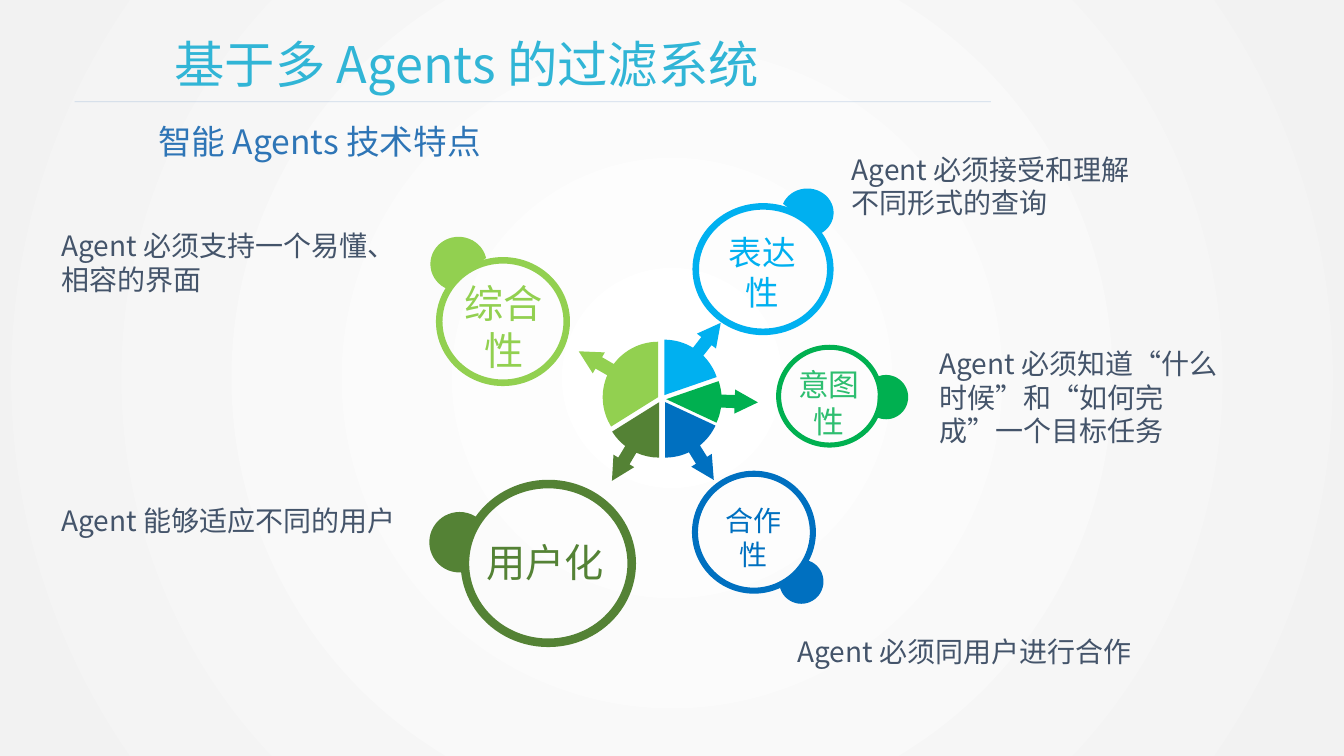
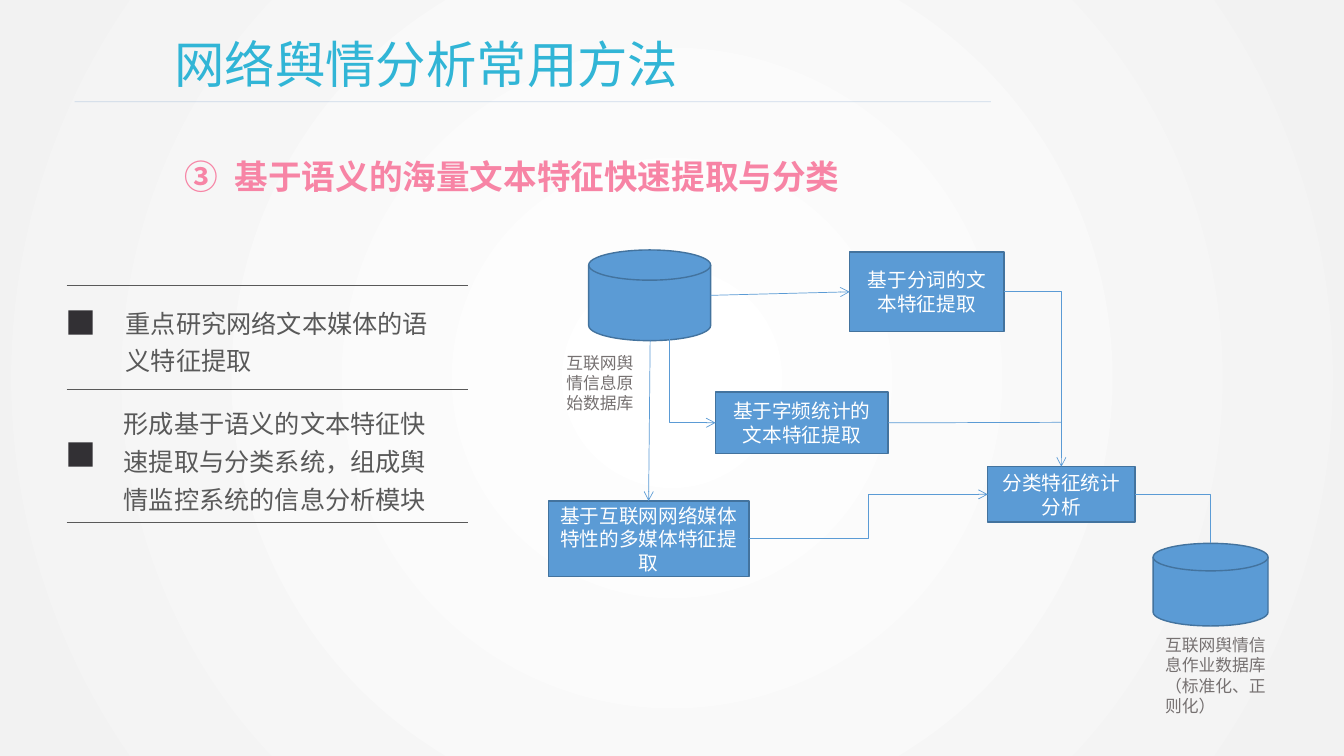
"""Build two slides: features of intelligent agents and a text feature extraction flow."""
from math import acos, atan, atan2, cos, degrees, hypot, radians, sin, tan

from lxml import etree
from pptx import Presentation
from pptx.dml.color import RGBColor
from pptx.enum.shapes import MSO_CONNECTOR, MSO_SHAPE
from pptx.enum.text import MSO_ANCHOR, PP_ALIGN
from pptx.oxml.ns import qn
from pptx.util import Inches, Pt

FONT = "Noto Sans CJK SC"
STRAIGHT, ELBOW = MSO_CONNECTOR.STRAIGHT, MSO_CONNECTOR.ELBOW
RECTANGLE, DONUT, CHORD = MSO_SHAPE.RECTANGLE, MSO_SHAPE.DONUT, MSO_SHAPE.CHORD
DISK = MSO_SHAPE.FLOWCHART_MAGNETIC_DISK
LEFT, CENTER = PP_ALIGN.LEFT, PP_ALIGN.CENTER
TOP, MIDDLE = MSO_ANCHOR.TOP, MSO_ANCHOR.MIDDLE

WHITE = RGBColor(0xFF, 0xFF, 0xFF)
PALE_GRAY = RGBColor(0xF2, 0xF2, 0xF2)
TITLE_CYAN = RGBColor(0x31, 0xB5, 0xD6)
RULE_BLUE = RGBColor(0x4A, 0x7E, 0xBB)
SUBTITLE_BLUE = RGBColor(0x2E, 0x75, 0xB6)
SLATE = RGBColor(0x44, 0x54, 0x6A)
LIME = RGBColor(0x92, 0xD0, 0x50)
SKY = RGBColor(0x00, 0xB0, 0xF0)
GREEN = RGBColor(0x00, 0xB0, 0x50)
SOFT_GREEN = RGBColor(0x2E, 0xBE, 0x70)
BLUE = RGBColor(0x00, 0x70, 0xC0)
OLIVE = RGBColor(0x54, 0x82, 0x35)
PINK = RGBColor(0xF7, 0x84, 0xA5)
FLOW_BLUE = RGBColor(0x5B, 0x9B, 0xD5)
FLOW_EDGE = RGBColor(0x43, 0x73, 0x9E)
CAPTION_GRAY = RGBColor(0x76, 0x71, 0x71)
TEXT_GRAY = RGBColor(0x59, 0x59, 0x59)
MARKER_BLACK = RGBColor(0x32, 0x30, 0x34)


def write_text(shape, lines, size, color, align=LEFT, anchor=TOP, bold=False, spacing=None):
    """Fill a shape with one styled run per paragraph."""
    frame = shape.text_frame
    frame.word_wrap = True
    frame.vertical_anchor = anchor
    for index, line in enumerate(lines):
        para = frame.add_paragraph() if index else frame.paragraphs[0]
        para.alignment = align
        para.line_spacing = spacing
        span = para.add_run()
        span.text = line
        span.font.size = Pt(size)
        span.font.bold = bold
        span.font.color.rgb = color
        span.font.name = FONT
        etree.SubElement(span.font._element, qn("a:ea"), typeface=FONT)


def add_line(page, kind, begin, end, color):
    """Add a thin connector without a shadow."""
    line = page.shapes.add_connector(kind, *map(Inches, begin + end))
    line.line.color.rgb = color
    line.line.width = Pt(0.5)
    etree.SubElement(line._element.spPr, qn("a:effectLst"))
    return line


deck = Presentation()
deck.slide_width, deck.slide_height = Inches(40 / 3), Inches(7.5)

background = deck.slide_master.background.fill
background.gradient()
for stop, color in zip(background.gradient_stops, (WHITE, PALE_GRAY)):
    stop.color.rgb = color
linear = deck.slide_master.element.find(".//" + qn("p:bgPr")).find(".//" + qn("a:lin"))
circle = etree.Element(qn("a:path"), path="circle")
etree.SubElement(circle, qn("a:fillToRect"), l="50000", t="50000", r="50000", b="50000")
linear.getparent().replace(linear, circle)

pages = []
for heading, width in (("基于多 Agents 的过滤系统", 11.4), ("网络舆情分析常用方法", 8.5)):
    page = deck.slides.add_slide(deck.slide_layouts[5])
    title = page.shapes.title
    title.left, title.top = Inches(1.63), Inches(0.28)
    title.width, title.height = Inches(width), Inches(0.71)
    write_text(title, [heading], 36, TITLE_CYAN)
    rule = add_line(page, STRAIGHT, (0.74, 1.01), (9.83, 1.01), RULE_BLUE)
    rule_color = rule._element.spPr.find(".//" + qn("a:srgbClr"))
    etree.SubElement(rule_color, qn("a:alpha"), val="25000")
    pages.append(page)
agents_page, flow_page = pages

RADIUS, HEAD_BASE, ARROW_TIP = 0.55, 0.68, 0.91
SHAFT_HALF, HEAD_HALF = 0.065, 0.12
shaft_angle = degrees(atan(SHAFT_HALF / RADIUS))
head_outline = [(HEAD_BASE, -SHAFT_HALF), (HEAD_BASE, -HEAD_HALF), (ARROW_TIP, 0),
                (HEAD_BASE, HEAD_HALF), (HEAD_BASE, SHAFT_HALF)]
wedges = [
    (6.59, 3.92, -90, -52, -19, SKY),
    (6.53, 3.94, 148, 210, 270, LIME),
    (6.61, 3.96, -19, 2, 25, GREEN),
    (6.6, 3.99, 25, 58, 90, BLUE),
    (6.54, 3.99, 90, 121, 148, OLIVE),
]
for x, y, start, middle, stop, color in wedges:
    arcs = []
    for first, last in ((start, middle - shaft_angle), (middle + shaft_angle, stop)):
        handle = 4 / 3 * tan(radians(last - first) / 4)
        reach, turn = RADIUS * hypot(1, handle), degrees(atan(handle))
        arcs.append([(RADIUS, first), (reach, first + turn), (reach, last - turn), (RADIUS, last)])
    head = [(hypot(along, across), middle + degrees(atan2(across, along)))
            for along, across in head_outline]
    points = [(Inches(x + length * cos(radians(angle))), Inches(y + length * sin(radians(angle))))
              for length, angle in [(0, 0)] + arcs[0] + head + arcs[1]]
    builder = agents_page.shapes.build_freeform(*points[0])
    builder.add_line_segments(points[1:])
    wedge = builder.convert_to_shape()
    segments = list(wedge._element.iter(qn("a:lnTo")))
    for index in (1, 10):
        curve = etree.Element(qn("a:cubicBezTo"))
        segments[index].addprevious(curve)
        for segment in segments[index:index + 3]:
            curve.append(segment[0])
            segment.getparent().remove(segment)
    wedge.shadow.inherit = False
    wedge.fill.solid()
    wedge.fill.fore_color.rgb = color
    wedge.line.fill.background()

features = [
    ("综合性", 28, LIME, LIME, (4.99, 3.19, 0.665, 0.64), 0.065,
     (4.55, 2.62, 0.28, 0.27), (4.41, 2.72, 1.18, 1.07), CENTER),
    ("表达性", 24, SKY, SKY, (7.57, 2.67, 0.7, 0.655), 0.065,
     (8.01, 2.11, 0.26, 0.24), (7.03, 2.25, 1.07, 0.93), CENTER),
    ("意图性", 22, GREEN, SOFT_GREEN, (8.23, 3.93, 0.53, 0.51), 0.05,
     (8.79, 3.94, 0.22, 0.22), (7.71, 3.58, 1.03, 0.86), CENTER),
    ("合作性", 20, BLUE, BLUE, (7.48, 5.28, 0.615, 0.61), 0.06,
     (7.95, 5.77, 0.22, 0.22), (7.03, 4.95, 0.89, 0.79), CENTER),
    ("用户化", 28, OLIVE, OLIVE, (5.44, 5.59, 0.87, 0.83), 0.085,
     (4.56, 5.38, 0.3, 0.3), (4.73, 5.29, 1.88, 0.6), LEFT),
]
for label, size, color, text_color, ring_at, thickness, knob_at, label_at, align in features:
    group = agents_page.shapes.add_group_shape()
    ring, knob = [
        group.shapes.add_shape(kind, *map(Inches, (x - across, y - down, 2 * across, 2 * down)))
        for kind, (x, y, across, down) in ((DONUT, ring_at), (CHORD, knob_at))]
    ring.adjustments[0] = thickness / (2 * min(ring_at[2:]))
    dx, dy = ring_at[0] - knob_at[0], ring_at[1] - knob_at[1]
    distance, ring_radius, knob_radius = hypot(dx, dy), sum(ring_at[2:]) / 2, sum(knob_at[2:]) / 2
    overlap = (distance ** 2 + knob_radius ** 2 - ring_radius ** 2) / (2 * distance * knob_radius)
    toward, spread = degrees(atan2(dy, dx)), degrees(acos(overlap))
    knob.adjustments[0] = (toward + spread) % 360 * 0.6
    knob.adjustments[1] = (toward - spread) % 360 * 0.6
    for part in (ring, knob):
        part.shadow.inherit = False
        part.fill.solid()
        part.fill.fore_color.rgb = color
        part.line.fill.background()
    box = group.shapes.add_textbox(*map(Inches, label_at))
    write_text(box, [label], size, text_color, align)

descriptions = [
    (["Agent 必须支持一个易懂、", "相容的界面"], (0.51, 2.22, 3.88, 0.79), 20, SLATE),
    (["Agent 必须接受和理解不同形式的查询"], (8.35, 1.46, 3.18, 0.79), 20, SLATE),
    (["Agent 必须知道“什么时候”和“如何完成”一个目标任务"], (9.22, 3.39, 3.18, 1.12), 20, SLATE),
    (["Agent 必须同用户进行合作"], (7.81, 6.25, 4.26, 0.44), 20, SLATE),
    (["Agent 能够适应不同的用户"], (0.51, 4.95, 3.9, 0.44), 20, SLATE),
    (["智能 Agents 技术特点"], (1.47, 1.15, 3.9, 0.5), 24, SUBTITLE_BLUE),
]
for lines, place, size, color in descriptions:
    box = agents_page.shapes.add_textbox(*map(Inches, place))
    write_text(box, lines, size, color)

box = flow_page.shapes.add_textbox(*map(Inches, (1.73, 1.5, 7.42, 0.5)))
properties = box.text_frame.paragraphs[0]._p.get_or_add_pPr()
properties.set("marL", str(Inches(0.5)))
properties.set("indent", str(Inches(-0.5)))
etree.SubElement(properties, qn("a:buAutoNum"), type="circleNumDbPlain", startAt="3")
write_text(box, ["基于语义的海量文本特征快速提取与分类"], 24, PINK, bold=True)

nodes = [
    (DISK, (5.84, 2.48, 1.21, 0.9), ""),
    (DISK, (11.44, 5.39, 1.14, 0.82), ""),
    (RECTANGLE, (8.43, 2.5, 1.53, 0.79), "基于分词的文本特征提取"),
    (RECTANGLE, (7.1, 3.89, 1.71, 0.61), "基于字频统计的文本特征提取"),
    (RECTANGLE, (9.8, 4.63, 1.46, 0.55), "分类特征统计分析"),
    (RECTANGLE, (5.44, 4.97, 1.99, 0.75), "基于互联网网络媒体特性的多媒体特征提取"),
]
node_shapes = []
for kind, place, label in nodes:
    node = flow_page.shapes.add_shape(kind, *map(Inches, place))
    node.shadow.inherit = False
    node.fill.solid()
    node.fill.fore_color.rgb = FLOW_BLUE
    node.line.color.rgb = FLOW_EDGE
    node.line.width = Pt(1)
    if label:
        write_text(node, [label], 14, WHITE, CENTER, MIDDLE)
    node_shapes.append(node)
words, frequency, statistics, multimedia = node_shapes[2:]

links = [
    ("line", (7.05, 2.93), (8.43, 2.9), None, (words, 1), "a:tailEnd"),
    ("bentConnector2", (9.96, 2.9), (10.53, 4.63), (words, 3), (statistics, 0), "a:tailEnd"),
    ("bentConnector2", (11.26, 4.9), (12.01, 5.39), (statistics, 3), None, None),
    ("line", (8.81, 4.2), (10.53, 4.19), (frequency, 3), None, None),
    ("bentConnector3", (7.43, 5.35), (9.8, 4.9), (multimedia, 3), (statistics, 1), "a:tailEnd"),
    ("line", (6.45, 3.38), (6.43, 4.97), None, (multimedia, 0), "a:tailEnd"),
    ("bentConnector2", (7.1, 4.2), (6.64, 3.31), (frequency, 1), None, "a:headEnd"),
]
for preset, begin, end, source, target, arrow in links:
    link = add_line(flow_page, STRAIGHT if preset == "line" else ELBOW, begin, end, FLOW_BLUE)
    link._element.spPr.find(qn("a:prstGeom")).set("prst", preset)
    if source:
        link.begin_connect(*source)
    if target:
        link.end_connect(*target)
    if arrow:
        etree.SubElement(link.line._get_or_add_ln(), qn(arrow), type="arrow")

for y in (2.83, 3.86, 5.18):
    add_line(flow_page, STRAIGHT, (0.66, y), (4.64, y), TEXT_GRAY)
for y in (3.08, 4.39):
    marker = flow_page.shapes.add_shape(RECTANGLE, *map(Inches, (0.68, y, 0.24, 0.24)))
    marker.shadow.inherit = False
    marker.fill.solid()
    marker.fill.fore_color.rgb = MARKER_BLACK
    marker.line.fill.background()

notes = [
    (["互联网舆情信息原始数据库"], (5.52, 3.45, 0.95, 0.71), 12, CAPTION_GRAY, None),
    (["互联网舆情信息作业数据库", "（标准化、正则化）"], (11.46, 6.25, 1.26, 0.91), 12, CAPTION_GRAY, None),
    (["重点研究网络文本媒体的语义特征提取"], (1.15, 2.93, 3.27, 0.82), 18, TEXT_GRAY, 1.25),
    (["形成基于语义的文本特征快速提取与分类系统，组成舆情监控系统的信息分析模块"],
     (1.13, 3.93, 3.26, 1.2), 18, TEXT_GRAY, 1.25),
]
for lines, place, size, color, spacing in notes:
    box = flow_page.shapes.add_textbox(*map(Inches, place))
    write_text(box, lines, size, color, spacing=spacing)

deck.save("out.pptx")
